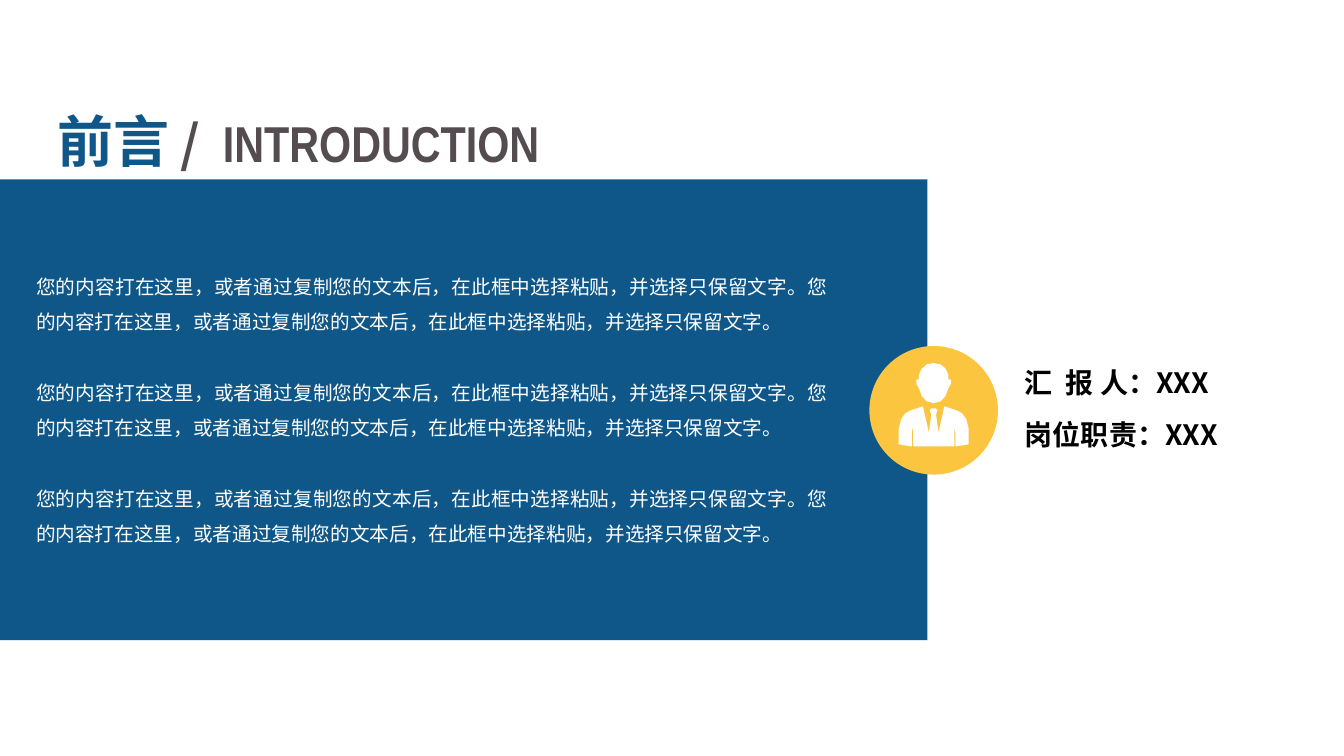
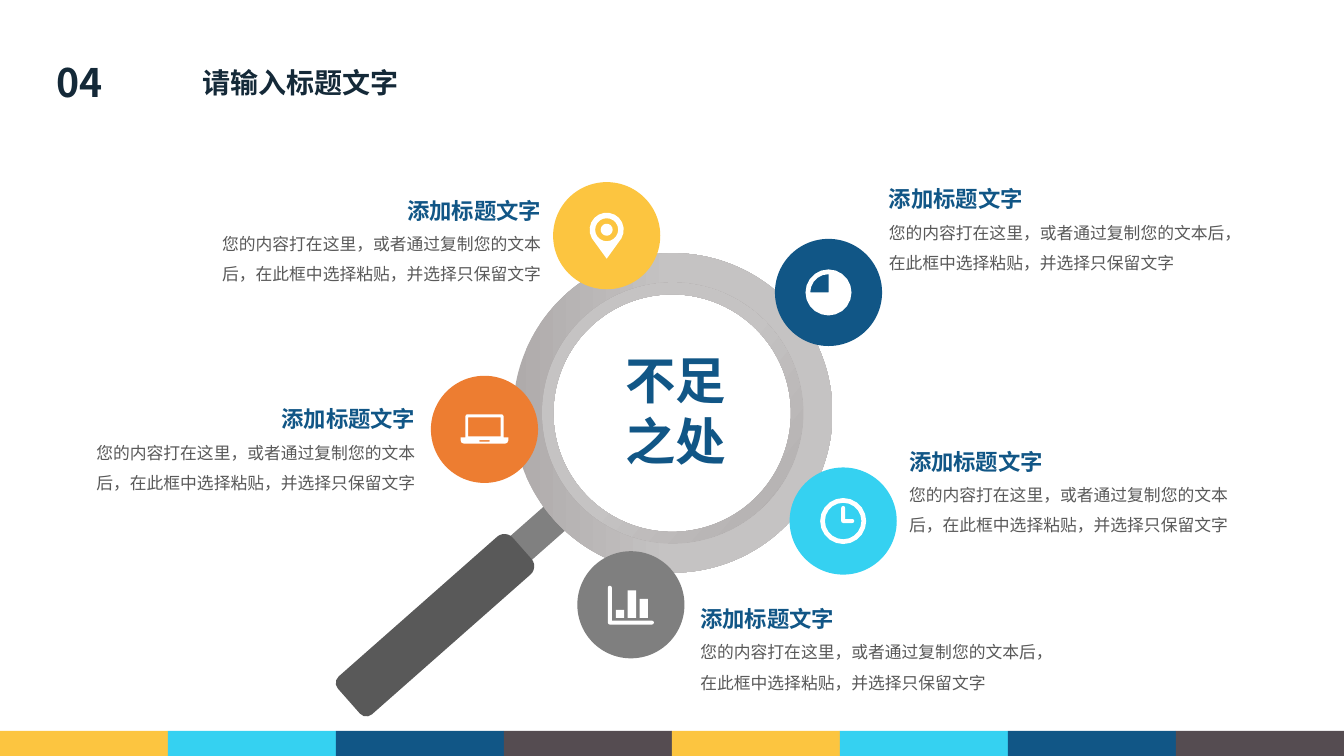
"""Build an introduction page and a magnifier page with five captioned badges."""
from dataclasses import dataclass
from math import cos, radians, sin
from typing import NamedTuple

from lxml.etree import SubElement
from pptx import Presentation
from pptx.dml.color import RGBColor
from pptx.enum.shapes import MSO_SHAPE
from pptx.enum.text import MSO_AUTO_SIZE, PP_ALIGN
from pptx.oxml.ns import qn
from pptx.util import Cm, Pt

Point = tuple[float, float]
Contour = list[Point]


@dataclass(frozen=True)
class Theme:
    width: float = 33.87
    height: float = 19.05
    cjk: str = "Noto Sans CJK SC"
    latin: str = "Arial"
    narrow: str = "Arial Narrow"
    white: str = "FFFFFF"
    black: str = "000000"
    ink: str = "142938"
    panel: str = "0E5788"
    blue: str = "115686"
    yellow: str = "FCC540"
    cyan: str = "35D1F1"
    orange: str = "ED7D31"
    plum: str = "554C51"
    badge_grey: str = "7F7F7F"
    rod_grey: str = "808080"
    dark_grey: str = "595959"
    ring_dark: str = "AFABAB"
    ring_light: str = "C5C3C3"
    display: int = 40
    large: int = 36
    number: int = 28
    heading: int = 20
    caption: int = 16
    body: int = 14
    small: int = 12


THEME = Theme()


class Box(NamedTuple):
    left: float
    top: float
    width: float
    height: float


class Span(NamedTuple):
    text: str
    size: int
    color: str
    bold: bool = True
    font: str = THEME.cjk


class Layout(NamedTuple):
    align: PP_ALIGN = PP_ALIGN.LEFT
    wrap: bool = True
    inset: Point = (0.25, 0.13)
    spacing: float = 1.0
    gap: float = 0


class Badge(NamedTuple):
    x: float
    y: float
    color: str
    icon: list[Contour]
    caption: Box
    align: PP_ALIGN = PP_ALIGN.LEFT


def arc(x: float, y: float, radius: float, start: float = 0, end: float = 360) -> Contour:
    """Return points along a circular arc, clockwise in degrees."""
    steps = round((end - start) / (18 if radius > 0.1 else 45))
    angles = [radians(start + (end - start) * step / steps) for step in range(steps + 1)]
    return [(x + radius * cos(angle), y + radius * sin(angle)) for angle in angles]


def bar(left: float, top: float, right: float, bottom: float) -> Contour:
    """Return the outline of a bar."""
    return [(left, top), (right, top), (right, bottom), (left, bottom)]


def mirrored(half: Contour) -> Contour:
    """Return a half outline joined with its reflection."""
    return half + [(-x, y) for x, y in reversed(half)]


HEAD = mirrored([(0, -1.19), (0.17, -1.16), (0.3, -1.05), (0.37, -0.9), (0.37, -0.79),
                 (0.44, -0.76), (0.43, -0.66), (0.36, -0.53), (0.3, -0.36), (0.18, -0.23),
                 (0, -0.18)])
SUIT = mirrored([(0, -0.05), (0.05, -0.05), (0.1, 0), (0.06, 0.1), (0.12, 0.56), (0.27, -0.1),
                 (0.58, 0), (0.72, 0.08), (0.82, 0.22), (0.88, 0.46), (0.88, 0.86),
                 (0.55, 0.91), (0.55, 0.56), (0.52, 0.41), (0.52, 0.91)])
PERSON = [HEAD, SUIT]
PIN = [arc(0, -0.15, 0.43, 150, 390) + [(0, 0.58)], arc(0, -0.15, 0.29), arc(0, -0.15, 0.15)]
PIE = [arc(0, 0, 0.58), [(0, 0)] + arc(0, 0, 0.46, 180, 270)]
HANDS = (arc(0, -0.33, 0.05, 180, 360) + [(0.05, -0.05)]
         + arc(0.23, 0, 0.05, -90, 90) + arc(0, 0, 0.05, 90, 180))
CLOCK = [arc(0, 0, 0.58), arc(0, 0, 0.46), HANDS]
AXES = (arc(-0.53, -0.43, 0.05, 180, 360) + [(-0.48, 0.4)]
        + arc(0.53, 0.45, 0.05, -90, 90) + arc(-0.53, 0.45, 0.05, 90, 180))
COLUMNS = [bar(-0.38 + 0.3 * index, top, -0.17 + 0.3 * index, 0.33)
           for index, top in enumerate((0.13, -0.36, -0.15))]
CHART = [AXES, *COLUMNS]
LAPTOP = [
    [(-0.6, 0.2), (-0.48, 0.2)] + arc(-0.43, -0.33, 0.05, 180, 270)
    + arc(0.43, -0.33, 0.05, -90, 0) + [(0.48, 0.2), (0.6, 0.2)]
    + arc(0.52, 0.28, 0.08, 0, 90) + arc(-0.52, 0.28, 0.08, 90, 180),
    bar(-0.41, -0.3, 0.41, 0.18),
    bar(-0.13, 0.27, 0.13, 0.31),
]


def plain(shape, color: str) -> None:
    """Give a shape a flat fill without line or shadow."""
    shape.shadow.inherit = False
    shape.line.fill.background()
    shape.fill.solid()
    shape.fill.fore_color.rgb = RGBColor.from_string(color)


def add_figure(page, kind: MSO_SHAPE, box: Box, color: str, rotation: float = 0,
               adjustments: tuple[float, ...] = ()):
    """Add a flat preset shape."""
    figure = page.shapes.add_shape(kind, *map(Cm, box))
    plain(figure, color)
    figure.rotation = rotation
    for index, value in enumerate(adjustments):
        figure.adjustments[index] = value
    return figure


def add_ring(page, box: Box, thickness: float, angle: float) -> None:
    """Add a ring with a grey gradient."""
    ring = add_figure(page, MSO_SHAPE.DONUT, box, THEME.ring_light, 0, (thickness,))
    ring.fill.gradient()
    ring.fill.gradient_angle = angle
    stops = ((0, THEME.ring_dark), (0.5, THEME.ring_light))
    for stop, (position, color) in zip(ring.fill.gradient_stops, stops):
        stop.position = position
        stop.color.rgb = RGBColor.from_string(color)


def add_badge(page, x: float, y: float, diameter: float, color: str, icon: list[Contour]) -> None:
    """Add a coloured disc with a white icon centred at a point."""
    corner = (x - diameter / 2, y - diameter / 2)
    add_figure(page, MSO_SHAPE.OVAL, Box(*corner, diameter, diameter), color)
    contours = [[(Cm(x + dx), Cm(y + dy)) for dx, dy in contour] for contour in icon]
    builder = page.shapes.build_freeform(*contours[0][0])
    for index, contour in enumerate(contours):
        if index:
            builder.move_to(*contour[0])
        builder.add_line_segments(contour[1:], close=True)
    plain(builder.convert_to_shape(), THEME.white)


def add_text(page, box: Box, paragraphs: list[list[Span]], layout: Layout = Layout()) -> None:
    """Add a text box made of paragraphs of formatted spans."""
    frame = page.shapes.add_textbox(*map(Cm, box)).text_frame
    across, down = map(Cm, layout.inset)
    frame_format = {"word_wrap": layout.wrap, "auto_size": MSO_AUTO_SIZE.SHAPE_TO_FIT_TEXT,
                    "margin_left": across, "margin_right": across,
                    "margin_top": down, "margin_bottom": down}
    for name, value in frame_format.items():
        setattr(frame, name, value)
    for index, spans in enumerate(paragraphs):
        para = frame.add_paragraph() if index else frame.paragraphs[0]
        para_format = {"alignment": layout.align, "line_spacing": layout.spacing,
                       "space_before": Pt(layout.gap if index else 0)}
        for name, value in para_format.items():
            setattr(para, name, value)
        for span in spans:
            run = para.add_run()
            run.text = span.text
            run.font.color.rgb = RGBColor.from_string(span.color)
            font_format = {"size": Pt(span.size), "bold": span.bold, "name": span.font}
            for name, value in font_format.items():
                setattr(run.font, name, value)
            SubElement(run._r.get_or_add_rPr(), qn("a:ea")).set("typeface", THEME.cjk)


def add_footer(page) -> None:
    """Add the band of equal coloured segments along the bottom."""
    colors = (THEME.yellow, THEME.cyan, THEME.blue, THEME.plum) * 2
    width = THEME.width / len(colors)
    for index, color in enumerate(colors):
        add_figure(page, MSO_SHAPE.RECTANGLE, Box(index * width, 18.42, width, 0.63), color)


def build_introduction(page) -> None:
    """Build the introduction page."""
    add_figure(page, MSO_SHAPE.RECTANGLE, Box(0, 4.52, 23.37, 11.61), THEME.panel)
    title = [Span("前言", THEME.display, THEME.panel),
             Span(" /  ", THEME.large, THEME.plum),
             Span("INTRODUCTION", THEME.large, THEME.plum, font=THEME.narrow)]
    add_text(page, Box(0.66, 2.51, 13.72, 2.06), [title],
             Layout(PP_ALIGN.CENTER, False, (0.33, 0.18)))
    add_badge(page, 23.53, 10.34, 3.24, THEME.yellow, PERSON)
    for index, label in enumerate(("汇  报 人：XXX", "岗位职责：XXX")):
        add_text(page, Box(25.65, 9.12 + 1.29 * index, 5.4, 1.04),
                 [[Span(label, THEME.heading, THEME.black)]],
                 Layout(wrap=False, inset=(0.18, 0.1)))
    sentence = "您的内容打在这里，或者通过复制您的文本后，在此框中选择粘贴，并选择只保留文字。"
    body = Span(sentence * 2, THEME.body, THEME.white, False, THEME.latin)
    add_text(page, Box(0.66, 6.5, 20.45, 10.01), [[body]] * 3,
             Layout(PP_ALIGN.JUSTIFY, spacing=1.5, gap=25.2))


def build_magnifier(page) -> None:
    """Build the magnifier page."""
    add_text(page, Box(1.14, 1.35, 1.75, 1.45), [[Span("04", THEME.number, THEME.ink)]],
             Layout(PP_ALIGN.CENTER))
    add_footer(page)
    add_text(page, Box(4.85, 1.52, 5.51, 1.12),
             [[Span("请输入标题文字", THEME.heading, THEME.ink)]], Layout(wrap=False))
    add_figure(page, MSO_SHAPE.ROUNDED_RECTANGLE, Box(8.07, 14.71, 7.16, 0.81),
               THEME.rod_grey, -41.4, (0.5,))
    add_figure(page, MSO_SHAPE.ROUND_2_SAME_RECTANGLE, Box(10.34, 12.83, 1.27, 5.82),
               THEME.dark_grey, 228.6, (0.17, 0.22))
    add_ring(page, Box(13.46, 6.93, 6.96, 6.96), 0.07, 140)
    add_ring(page, Box(12.93, 6.38, 8.05, 8.05), 0.09, 0)
    badges = (
        Badge(15.9, 15.24, THEME.badge_grey, CHART, Box(17.65, 14.91, 9.04, 2.46)),
        Badge(20.88, 7.37, THEME.blue, PIE, Box(22.4, 4.34, 8.59, 2.46)),
        Badge(21.25, 13.13, THEME.cyan, CLOCK, Box(22.91, 10.95, 8.18, 2.46)),
        Badge(15.29, 5.94, THEME.yellow, PIN, Box(5.18, 4.62, 8.46, 2.46), PP_ALIGN.RIGHT),
        Badge(12.21, 10.82, THEME.orange, LAPTOP, Box(2.01, 9.88, 8.46, 2.46), PP_ALIGN.RIGHT),
    )
    caption = [[Span("添加标题文字", THEME.caption, THEME.blue)],
               [Span("您的内容打在这里，或者通过复制您的文本后，在此框中选择粘贴，并选择只保留文字",
                     THEME.small, THEME.dark_grey, False)]]
    for badge in badges:
        add_badge(page, badge.x, badge.y, 2.7, badge.color, badge.icon)
        add_text(page, badge.caption, caption, Layout(badge.align, inset=(0, 0), spacing=1.5))
    center = [[Span(line, THEME.large, THEME.blue)] for line in ("不足", "之处")]
    add_text(page, Box(14.07, 8.81, 5.92, 3.07), center, Layout(PP_ALIGN.CENTER, inset=(0, 0)))


def main() -> None:
    """Build and save the deck."""
    deck = Presentation()
    deck.slide_width, deck.slide_height = Cm(THEME.width), Cm(THEME.height)
    for build in (build_introduction, build_magnifier):
        build(deck.slides.add_slide(deck.slide_layouts[6]))
    deck.save("out.pptx")


if __name__ == "__main__":
    main()
